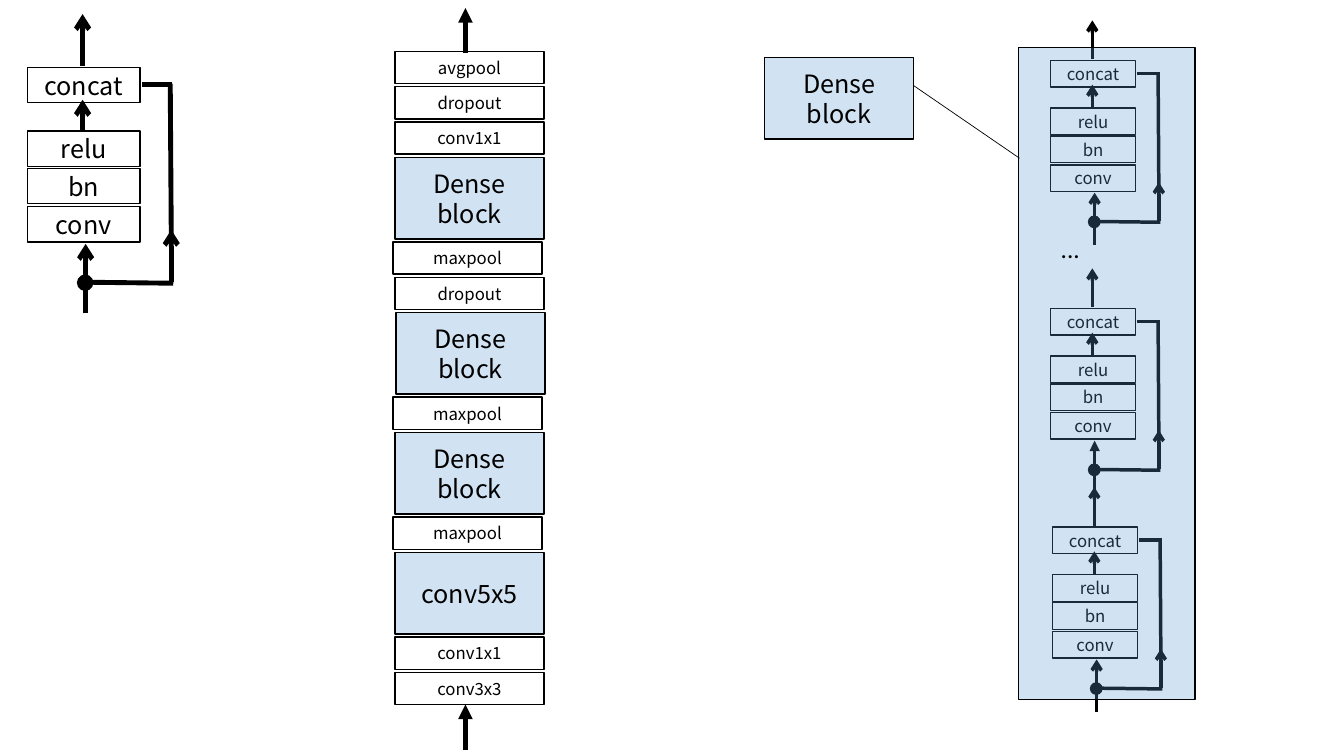
"""Draw a dense unit, the network stack and the expanded dense block."""
from dataclasses import dataclass

from lxml import etree
from pptx import Presentation
from pptx.dml.color import RGBColor
from pptx.enum.shapes import MSO_CONNECTOR, MSO_SHAPE
from pptx.enum.text import MSO_ANCHOR, PP_ALIGN
from pptx.oxml.ns import qn
from pptx.util import Inches, Pt

RECTANGLE, OVAL = MSO_SHAPE.RECTANGLE, MSO_SHAPE.OVAL
STRAIGHT = MSO_CONNECTOR.STRAIGHT
CENTER, LEFT = PP_ALIGN.CENTER, PP_ALIGN.LEFT
MIDDLE, TOP = MSO_ANCHOR.MIDDLE, MSO_ANCHOR.TOP


@dataclass(frozen=True)
class Theme:
    ink: RGBColor = RGBColor(0, 0, 0)
    blue: RGBColor = RGBColor(0x5B, 0x9B, 0xD5)
    blue_opacity: int = 28
    font: str = "Noto Sans CJK SC"
    ellipsis_font: str = "Calibri"
    large: int = 18
    small: int = 12
    outline: float = 1
    hairline: float = 0.5
    thin_wire: float = 2.5
    thick_wire: float = 3.5


theme = Theme()
CELL = Inches(0.1)
COLUMNS, ROWS = 133.4, 75

prs = Presentation()
prs.slide_width, prs.slide_height = int(COLUMNS * CELL), int(ROWS * CELL)
slide = prs.slides.add_slide(prs.slide_layouts[6])


def box(text, left, top, width, height, *, kind=RECTANGLE, fill=None, opacity=100,
        size=theme.small, font=theme.font, align=CENTER, anchor=MIDDLE):
    frame = [int(v * CELL) for v in (left, top, width, height)]
    if kind is None:
        shape = slide.shapes.add_textbox(*frame)
    else:
        shape = slide.shapes.add_shape(kind, *frame)
        shape.shadow.inherit = False
        shape.line.color.rgb = theme.ink
        shape.line.width = Pt(theme.outline)
    if fill is None:
        shape.fill.background()
    else:
        shape.fill.solid()
        shape.fill.fore_color.rgb = fill
        color = shape._element.spPr.find(qn("a:solidFill")).find(qn("a:srgbClr"))
        etree.SubElement(color, qn("a:alpha"), val=str(opacity * 1000))
    if text:
        body = shape.text_frame
        body.word_wrap = True
        body.vertical_anchor = anchor
        paragraph = body.paragraphs[0]
        paragraph.alignment = align
        run = paragraph.add_run()
        run.text = text
        run.font.name, run.font.size = font, Pt(size)
        run.font.color.rgb = theme.ink


def wire(start, end, width, head=None):
    line = slide.shapes.add_connector(STRAIGHT, *[int(v * CELL) for v in (*start, *end)])
    line.line.color.rgb = theme.ink
    line.line.width = Pt(width)
    properties = line._element.spPr
    if head:
        etree.SubElement(properties.find(qn("a:ln")), qn("a:tailEnd"), type=head)
    etree.SubElement(properties, qn("a:effectLst"))


blue_box = {"fill": theme.blue, "opacity": theme.blue_opacity, "size": theme.large}

layers = {"concat": 0, "relu": 6.3, "bn": 10, "conv": 13.8}
unit_wires = [
    ((5.5, 6.3), (5.5, 3.2), "arrow"),
    ((5.5, -0.2), (5.5, -5.3), "arrow"),
    ((11.4, 1.7), (14.4, 1.7), None),
    ((6, 21.3), (14.5, 21.4), None),
    ((14.3, 21.3), (14.3, 16.1), "arrow"),
    ((14.3, 16.8), (14.2, 1.6), None),
]
units = [
    (2.7, 6.7, 1, theme.thick_wire, theme.large, "arrow"),
    (104.5, 52.3, 0.75, theme.thin_wire, theme.small, "arrow"),
    (104.3, 30.6, 0.75, theme.thin_wire, theme.small, "triangle"),
    (104.3, 6, 0.75, theme.thin_wire, theme.small, "arrow"),
]
for left, top, scale, wire_width, size, input_head in units:
    for layer, row in layers.items():
        box(layer, left, top + row * scale, 11.2 * scale, 3.5 * scale, size=size)
    for start, end, head in [((5.8, 24.4), (5.8, 17.5), input_head), *unit_wires]:
        wire((left + start[0] * scale, top + start[1] * scale),
             (left + end[0] * scale, top + end[1] * scale), wire_width, head)
    box("", left + 5 * scale, top + 20.6 * scale, 1.5 * scale, 1.5 * scale,
        kind=OVAL, fill=theme.ink)

box("Dense block", 75.9, 5.7, 14.8, 8.1, **blue_box)
box("", 101.1, 4.7, 17.5, 64.7, **blue_box)
wire((90.7, 8.5), (101.2, 15.7), theme.hairline)
box("...", 104.3, 22.7, 14.3, 4, kind=None, size=theme.large,
    font=theme.ellipsis_font, align=LEFT, anchor=TOP)

stack = [
    ("avgpool", 39.2), ("dropout", 39.2), ("conv1x1", 39.2), ("Dense block", 39.2),
    ("maxpool", 39), ("dropout", 39.2), ("Dense block", 39.3), ("maxpool", 39),
    ("Dense block", 39.2), ("maxpool", 39), ("conv5x5", 39.2), ("conv1x1", 39.2),
    ("conv3x3", 39.2),
]
stage_top, stage_gap = 5.1, 0.3
for stage, left in stack:
    is_block = stage in ("Dense block", "conv5x5")
    height = 8.1 if is_block else 3.2
    box(stage, left, stage_top, 14.8, height, **(blue_box if is_block else {}))
    stage_top += height + stage_gap

for arrow_start in (74.4, 5.3):
    wire((46.2, arrow_start), (46.2, arrow_start - 4.5), theme.thick_wire, "triangle")

prs.save("out.pptx")
